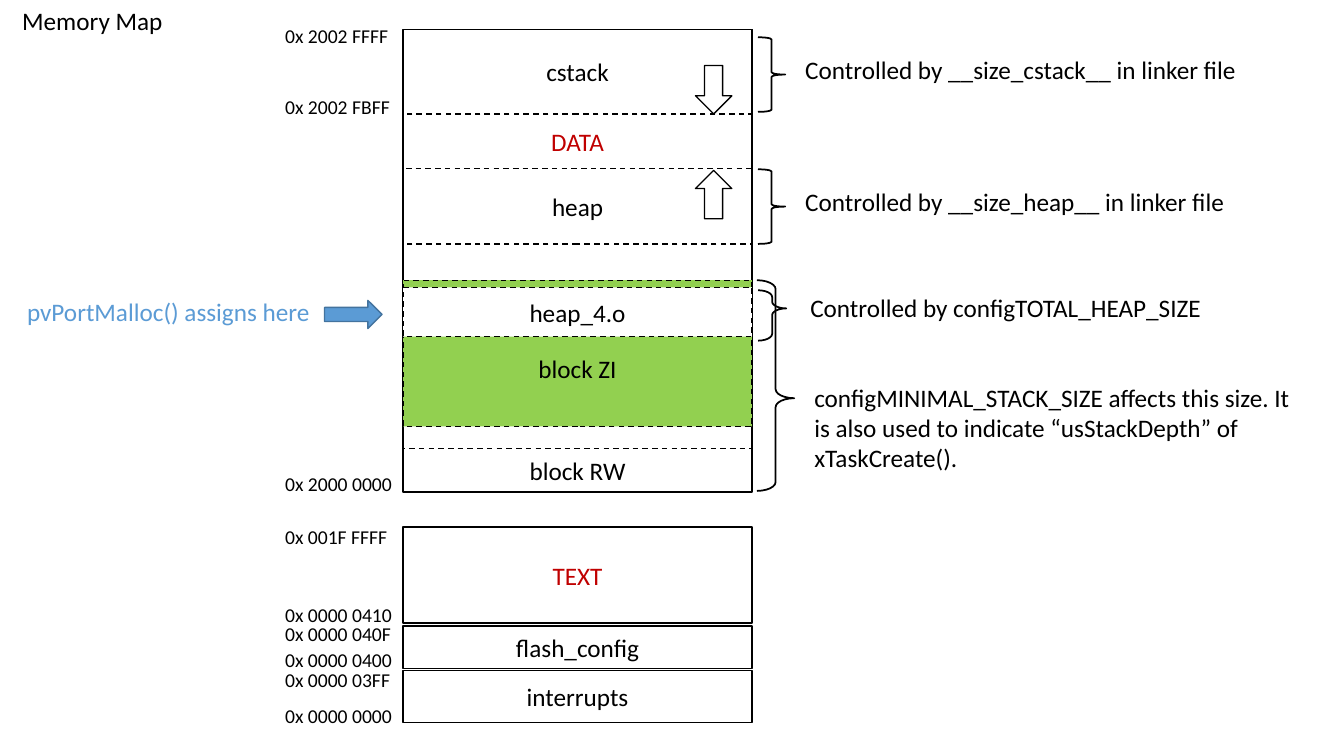
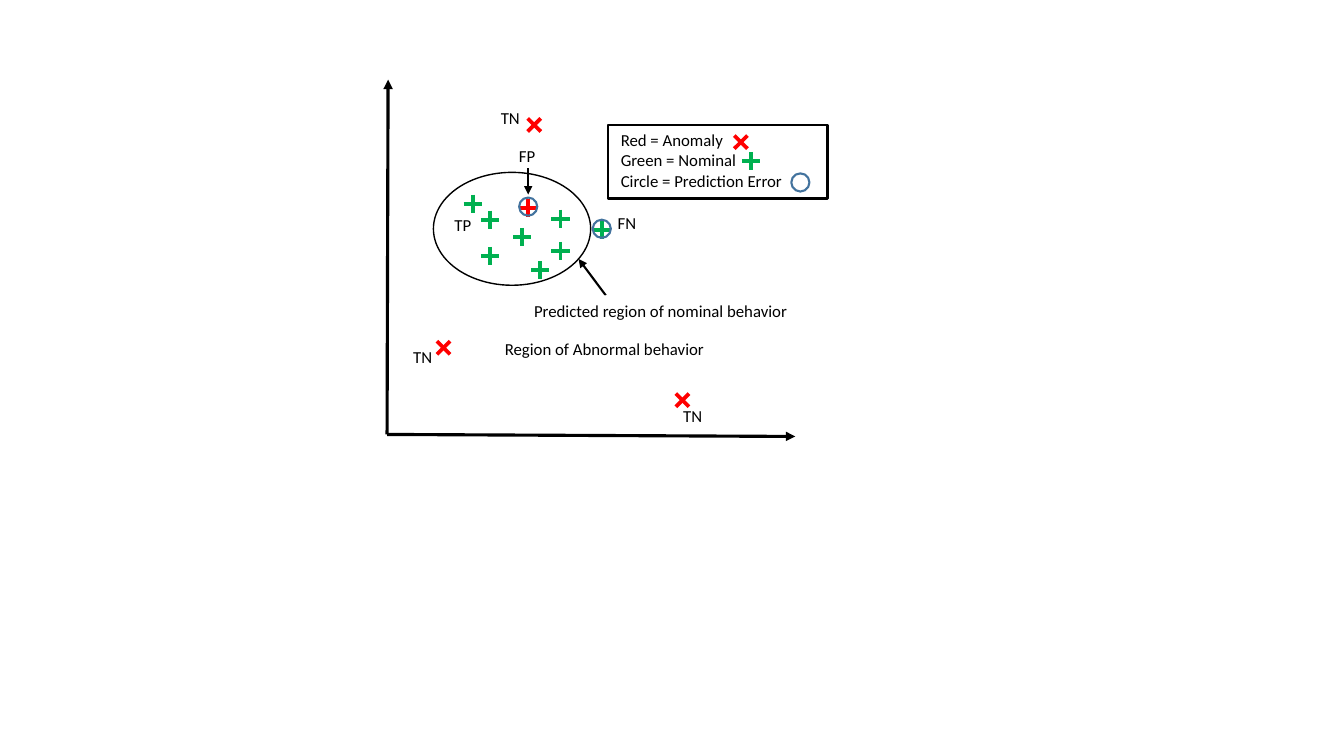
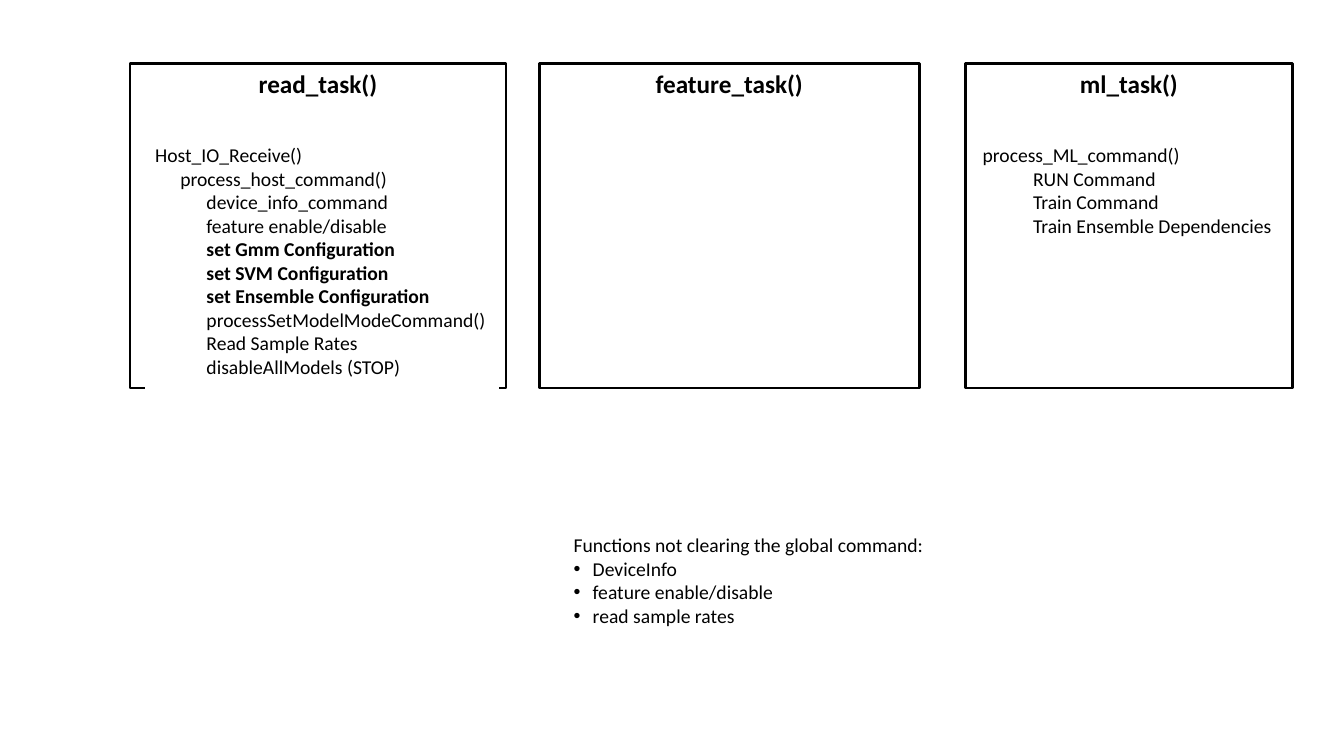
"""Build three slides: a memory map, a prediction diagram and a task overview."""
from lxml import etree
from pptx import Presentation
from pptx.dml.color import RGBColor
from pptx.enum.dml import MSO_LINE
from pptx.enum.shapes import MSO_CONNECTOR, MSO_SHAPE
from pptx.enum.text import MSO_ANCHOR, MSO_AUTO_SIZE, PP_ALIGN
from pptx.oxml.ns import qn
from pptx.util import Inches, Pt

RECTANGLE, ELLIPSE = MSO_SHAPE.RECTANGLE, MSO_SHAPE.OVAL
BRACE, RIGHT_ARROW = MSO_SHAPE.RIGHT_BRACE, MSO_SHAPE.RIGHT_ARROW
DOWN_ARROW, UP_ARROW = MSO_SHAPE.DOWN_ARROW, MSO_SHAPE.UP_ARROW
STRAIGHT, DASH = MSO_CONNECTOR.STRAIGHT, MSO_LINE.DASH
LEFT, CENTER = PP_ALIGN.LEFT, PP_ALIGN.CENTER
TOP, MIDDLE = MSO_ANCHOR.TOP, MSO_ANCHOR.MIDDLE
FIXED = MSO_AUTO_SIZE.NONE

FONT = "Calibri"
BLACK, WHITE, DARK_RED = "000000", "FFFFFF", "C00000"
BLUE, DARK_BLUE = "5B9BD5", "43739E"
LIME, GREEN, RED = "92D050", "00B050", "FF0000"
CELL = Inches(0.1)
COLUMNS, ROWS = 133.33, 75


def add_box(page, area, text="", kind=None, fill=None, line=None, width=1, dash=None,
            size=18, color=BLACK, align=LEFT, anchor=TOP, wrap=True):
    """Add a preset shape, or a text box when kind is None; area is in grid cells."""
    place = [round(cells * CELL) for cells in area]
    box = page.shapes.add_shape(kind, *place) if kind else page.shapes.add_textbox(*place)
    box.shadow.inherit = False
    if fill:
        box.fill.solid()
        box.fill.fore_color.rgb = RGBColor.from_string(fill)
    else:
        box.fill.background()
    if line:
        box.line.color.rgb = RGBColor.from_string(line)
        box.line.width = Pt(width)
        box.line.dash_style = dash
    else:
        box.line.fill.background()
    frame = box.text_frame
    frame.word_wrap = wrap
    frame.vertical_anchor = anchor
    if text:
        frame.text = text
        for para in frame.paragraphs:
            para.alignment = align
            para.font.name = FONT
            para.font.size = Pt(size)
            para.font.color.rgb = RGBColor.from_string(color)
    return box


def add_line(page, start, end, color=BLACK, width=2.75, arrow=False):
    """Add a straight line between two grid points."""
    ends = [round(cells * CELL) for cells in (*start, *end)]
    connector = page.shapes.add_connector(STRAIGHT, *ends)
    connector.line.color.rgb = RGBColor.from_string(color)
    connector.line.width = Pt(width)
    properties = connector._element.spPr
    if arrow:
        etree.SubElement(properties.find(qn("a:ln")), qn("a:tailEnd"), type="triangle")
    etree.SubElement(properties, qn("a:effectLst"))


deck = Presentation()
deck.slide_width, deck.slide_height = round(COLUMNS * CELL), ROWS * CELL
content_layout, title_layout, blank_layout = [deck.slide_layouts[i] for i in (1, 5, 6)]

page = deck.slides.add_slide(title_layout)
title = page.shapes.title
title.left, title.top, title.width, title.height = [round(c * CELL) for c in (1.2, 0, 16.1, 4)]
title.text_frame.text = "Memory Map"
title.text_frame.word_wrap = False
title.text_frame.auto_size = FIXED
title.text_frame.paragraphs[0].alignment = LEFT
title.text_frame.paragraphs[0].font.size = Pt(18)
title.text_frame.paragraphs[0].font.name = FONT

MAP_LEFT, MAP_WIDTH = 40, 34.6
regions = [
    ("interrupts", 66.5, 5.2, None, None, BLACK),
    ("flash_config", 62.1, 4.2, None, None, BLACK),
    ("TEXT", 52.3, 9.5, None, None, DARK_RED),
    ("", 2.9, 45.9, None, None, BLACK),
    ("block RW", 44.5, 4.3, None, DASH, BLACK),
    ("block ZI", 27.8, 14.5, LIME, DASH, BLACK),
    ("heap", 16.7, 7.5, None, DASH, BLACK),
    ("cstack", 2.9, 8.4, None, DASH, BLACK),
    ("heap_4.o", 28.5, 4.9, WHITE, DASH, BLACK),
]
for name, top, height, fill, dash, color in regions:
    region = add_box(page, (MAP_LEFT, top, MAP_WIDTH, height), name, RECTANGLE, fill, BLACK,
                     dash=dash, color=color, align=CENTER, anchor=MIDDLE)
    if name == "block ZI":
        region.text_frame.margin_top = Inches(0.35)
add_box(page, (MAP_LEFT, 11.3, MAP_WIDTH, 5.4), "DATA", color=DARK_RED,
        align=CENTER, anchor=MIDDLE)

add_box(page, (69, 6.5, 3.6, 4.8), kind=DOWN_ARROW, line=BLACK)
add_box(page, (69, 16.9, 3.6, 4.8), kind=UP_ARROW, line=BLACK)

addresses = [
    ("0x 2002 FFFF", 1.9), ("0x 2002 FBFF", 8.9), ("0x 2000 0000", 46.3),
    ("0x 001F FFFF", 51.6), ("0x 0000 0410", 59.3), ("0x 0000 040F", 61.2),
    ("0x 0000 0400", 63.8), ("0x 0000 03FF", 65.8), ("0x 0000 0000", 69.3),
]
for address, top in addresses:
    add_box(page, (27.3, top, 12.6, 3.4), address, size=14, wrap=False)

braces = [
    ((75.2, 3.7, 2.7, 7.4), 0.08, 0.5),
    ((75.2, 16.8, 2.7, 7.4), 0.08, 0.5),
    ((75.2, 28.8, 2.8, 5), 0.24, 0.36),
    ((75.1, 27.8, 3.7, 20.9), 0.24, 0.56),
]
for area, curl, point in braces:
    brace = add_box(page, area, kind=BRACE, line=BLACK, width=1.25)
    brace.adjustments[0], brace.adjustments[1] = curl, point

remarks = [
    ((78.9, 4.9, 48.4, 4), "Controlled by __size_cstack__ in linker file", BLACK),
    ((78.9, 18, 48.4, 4), "Controlled by __size_heap__ in linker file", BLACK),
    ((79.4, 28.5, 48.4, 4), "Controlled by configTOTAL_HEAP_SIZE", BLACK),
    ((79.8, 37.4, 49.4, 10.1), "configMINIMAL_STACK_SIZE affects this size. It is also used "
     "to indicate “usStackDepth” of xTaskCreate().", BLACK),
    ((1.7, 28.9, 33.4, 4), "pvPortMalloc() assigns here", BLUE),
]
for area, remark, color in remarks:
    add_box(page, area, remark, color=color)
add_box(page, (32.2, 29.8, 5.7, 2.8), kind=RIGHT_ARROW, fill=BLUE, line=DARK_BLUE)

page = deck.slides.add_slide(blank_layout)
labels = [
    ("FN", 60.3, 20.6, 5.4), ("TN", 48.7, 10.2, 4.6), ("TN", 40, 33.9, 4.9),
    ("FP", 50.5, 14, 6.1), ("TN", 66.8, 39.8, 5.4), ("TP", 44.1, 20.8, 5.2),
]
for label, left, top, width in labels:
    add_box(page, (left, top, width, 3), label, fill=WHITE, size=12)

origin = (38.4, 43.1)
for axis_end in [(78.9, 43.3), (38.5, 7.9)]:
    add_line(page, origin, axis_end, width=2.25, arrow=True)
add_line(page, (60.1, 29.3), (57.4, 25.7), width=1.5, arrow=True)
add_line(page, (52.4, 16.7), (52.4, 19.3), width=1.5, arrow=True)
add_box(page, (43, 17.1, 15.6, 11.2), kind=ELLIPSE, line=BLACK)

captions = [
    ((52, 29.3, 27.4, 3), "Predicted region of nominal behavior"),
    ((49.1, 33.1, 22, 3), "Region of Abnormal behavior"),
    ((60.6, 12.4, 18.2, 7.1), "Red = Anomaly\nGreen = Nominal\nCircle = Prediction Error"),
]
for area, caption in captions:
    add_box(page, area, caption, fill=WHITE, size=12, wrap=False)
add_box(page, (60.3, 12.4, 21.8, 7.3), kind=RECTANGLE, line=BLACK, width=1.5)

nominal = [(46.9, 20.2), (48.6, 21.8), (51.8, 23.5), (48.6, 25.4), (53.6, 26.8),
           (55.6, 24.9), (55.6, 21.7), (59.7, 22.8), (74.5, 16)]
false_positive = [(52.4, 20.6)]
for color, points in [(GREEN, nominal), (RED, false_positive)]:
    for x, y in points:
        add_line(page, (x - 0.9, y), (x + 0.9, y), color)
        add_line(page, (x, y - 0.9), (x, y + 0.9), color)
for x, y in [(44, 34.5), (53, 12.4), (67.7, 39.7), (73.5, 14.1)]:
    for rise in (-0.65, 0.65):
        add_line(page, (x - 0.65, y - rise), (x + 0.65, y + rise), RED)
for x, y in [(59.7, 22.7), (52.4, 20.5), (79.4, 18.1)]:
    add_box(page, (x - 0.9, y - 0.9, 1.8, 1.8), kind=ELLIPSE, line=DARK_BLUE, width=1.5)

page = deck.slides.add_slide(content_layout)
page.shapes.title.element.getparent().remove(page.shapes.title.element)
for task, left, width in [("read_task()", 12.9, 37.3), ("feature_task()", 53.5, 37.7),
                          ("ml_task()", 95.8, 32.4)]:
    panel = add_box(page, (left, 6.3, width, 32.2), task, RECTANGLE, line=BLACK, width=2,
                    align=CENTER)
    panel.text_frame.paragraphs[0].font.bold = True

call_lists = [
    ((14.4, 13.7, 35.1, 26.9), (0, 0.25, 0.51),
     [("Host_IO_Receive()", 0), ("process_host_command()", 1), ("device_info_command", 2),
      ("feature enable/disable", 2), ("set Gmm Configuration", 2),
      ("set SVM Configuration", 2), ("set Ensemble Configuration", 2),
      ("processSetModelModeCommand()", 2), ("Read Sample Rates", 2),
      ("disableAllModels (STOP)", 2)]),
    ((96.5, 13.7, 31, 10.4), (0, 0.5),
     [("process_ML_command()", 0), ("RUN Command", 1), ("Train Command", 1),
      ("Train Ensemble Dependencies", 1)]),
]
for area, indents, calls in call_lists:
    box = add_box(page, area, "\n".join(call for call, level in calls), fill=WHITE, size=14,
                  wrap=False)
    for para, (call, level) in zip(box.text_frame.paragraphs, calls):
        para.level = level
        para._p.get_or_add_pPr().set("marL", str(Inches(indents[level])))
        para.font.bold = call.startswith("set ")

functions = page.placeholders[1]
functions.left, functions.top, functions.width, functions.height = [
    round(c * CELL) for c in (55.9, 52.4, 37, 12.8)]
frame = functions.text_frame
frame.text = ("Functions not clearing the global command:\n"
              "DeviceInfo\nfeature enable/disable\nread sample rates")
frame.word_wrap = False
frame.auto_size = FIXED
for number, para in enumerate(frame.paragraphs):
    para.space_before = Pt(0)
    para.font.name = FONT
    para.font.size = Pt(14)
    hang = Inches(0.19) if number else 0
    properties = para._p.get_or_add_pPr()
    properties.set("marL", str(hang))
    properties.set("indent", str(-hang))
    if number:
        etree.SubElement(properties, qn("a:buFont"), typeface="Arial")
        bullet = etree.SubElement(properties, qn("a:buChar"), char="•")
    else:
        etree.SubElement(properties, qn("a:buNone"))
    run_defaults = properties.find(qn("a:defRPr"))
    properties.append(run_defaults)

deck.save("out.pptx")
